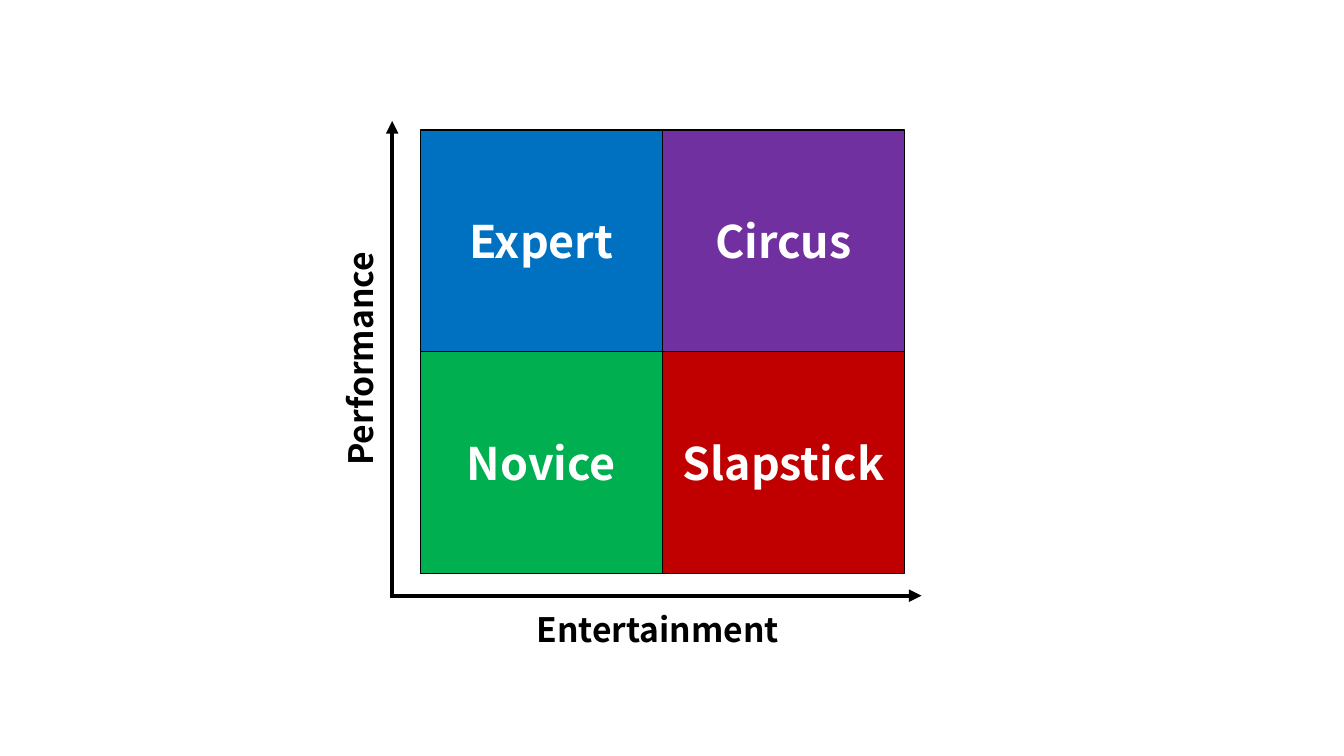
from lxml import etree
from pptx import Presentation
from pptx.dml.color import RGBColor
from pptx.enum.shapes import MSO_CONNECTOR, MSO_SHAPE
from pptx.enum.text import MSO_ANCHOR, MSO_AUTO_SIZE, PP_ALIGN
from pptx.oxml.ns import qn
from pptx.util import Inches, Pt

RECTANGLE = MSO_SHAPE.RECTANGLE
STRAIGHT = MSO_CONNECTOR.STRAIGHT
MIDDLE = MSO_ANCHOR.MIDDLE
GROW = MSO_AUTO_SIZE.SHAPE_TO_FIT_TEXT
CENTER = PP_ALIGN.CENTER

FONT = "Noto Sans CJK KR"
COLORS = {
    "black": "000000",
    "white": "FFFFFF",
    "blue": "0070C0",
    "purple": "7030A0",
    "green": "00B050",
    "red": "C00000",
}
SLIDE_WIDTH, SLIDE_HEIGHT = 13.33, 7.5
GRID_LEFT, GRID_TOP = 4.17, 1.29
COLUMN, ROW = 2.4, 2.2
QUADRANTS = [
    [("Expert", "blue"), ("Circus", "purple")],
    [("Novice", "green"), ("Slapstick", "red")],
]


def color(name):
    return RGBColor.from_string(COLORS[name])


def write_text(frame, text, size, fill):
    frame.word_wrap = True
    para = frame.paragraphs[0]
    para.alignment = CENTER
    span = para.add_run()
    span.text = text
    span.font.name = FONT
    span.font.size = Pt(size)
    span.font.bold = True
    span.font.color.rgb = color(fill)


def add_quadrant(page, column, row, text, fill):
    box = page.shapes.add_shape(
        RECTANGLE,
        Inches(GRID_LEFT + column * COLUMN),
        Inches(GRID_TOP + row * ROW),
        Inches(COLUMN),
        Inches(ROW),
    )
    box.shadow.inherit = False
    box.fill.solid()
    box.fill.fore_color.rgb = color(fill)
    box.line.color.rgb = color("black")
    box.line.width = Pt(1)
    box.text_frame.vertical_anchor = MIDDLE
    write_text(box.text_frame, text, size=32, fill="white")


def add_axis(page, start, end):
    axis = page.shapes.add_connector(STRAIGHT, *map(Inches, start + end))
    axis.line.color.rgb = color("black")
    axis.line.width = Pt(3)
    outline = axis.line._get_or_add_ln()
    etree.SubElement(outline, qn("a:tailEnd"), type="triangle")
    etree.SubElement(axis._element.spPr, qn("a:effectLst"))


def add_axis_label(page, text, left, top, width, rotation=0):
    box = page.shapes.add_textbox(*map(Inches, (left, top, width, 0.5)))
    box.rotation = rotation
    box.text_frame.auto_size = GROW
    write_text(box.text_frame, text, size=24, fill="black")


def main():
    deck = Presentation()
    deck.slide_width = Inches(SLIDE_WIDTH)
    deck.slide_height = Inches(SLIDE_HEIGHT)
    page = deck.slides.add_slide(deck.slide_layouts[6])
    add_axis(page, (3.89, 5.93), (3.89, 1.2))
    add_axis(page, (3.91, 5.91), (9.14, 5.91))
    add_axis_label(page, "Entertainment", 5.11, 5.99, 2.83)
    add_axis_label(page, "Performance", 2.25, 3.31, 2.64, rotation=270)
    for row, cells in enumerate(QUADRANTS):
        for column, (text, fill) in enumerate(cells):
            add_quadrant(page, column, row, text, fill)
    deck.save("out.pptx")


if __name__ == "__main__":
    main()
